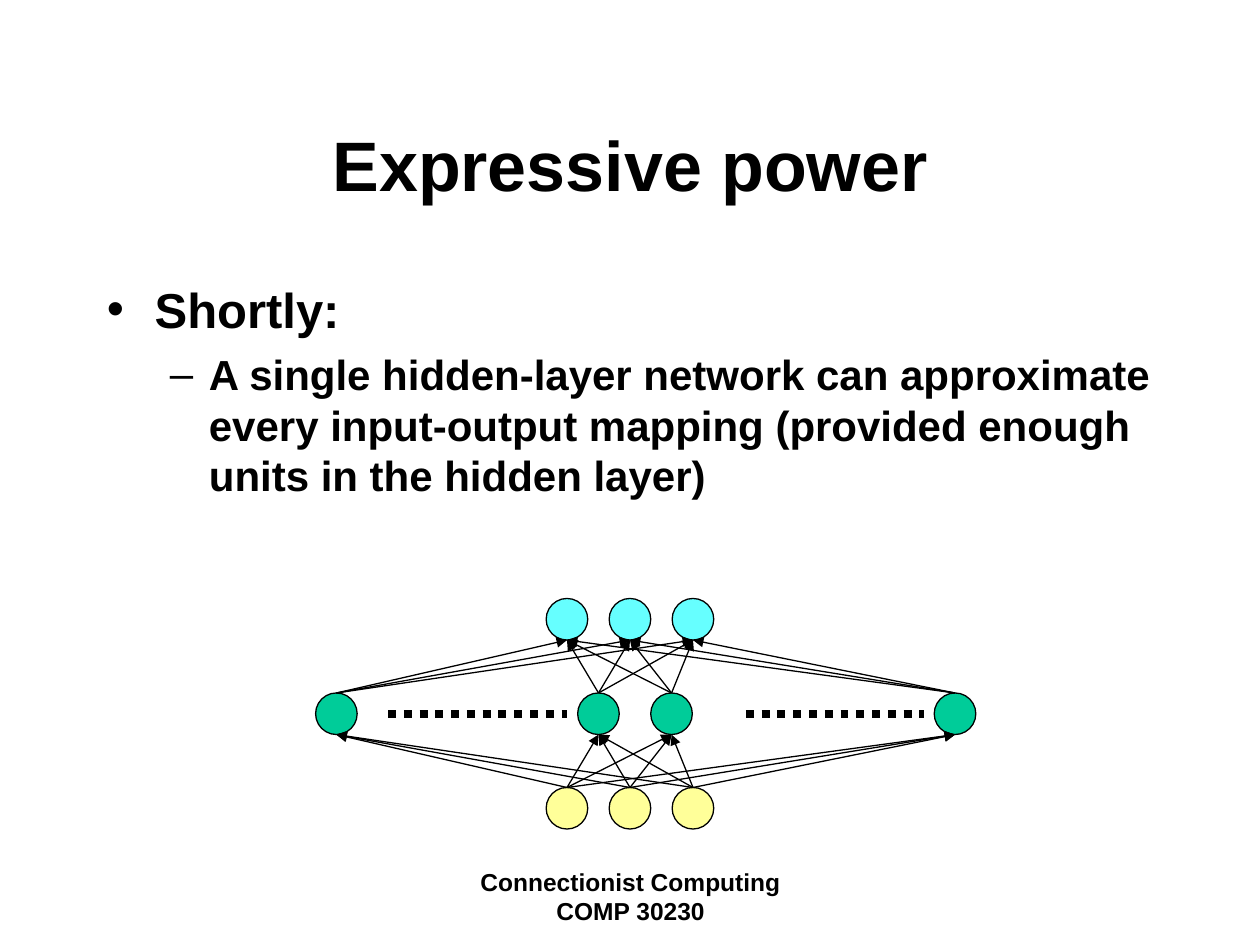
from itertools import product

from lxml import etree
from pptx import Presentation
from pptx.dml.color import RGBColor
from pptx.enum import dml, shapes, text
from pptx.oxml import ns
from pptx.util import Inches, Pt

BLACK = "000000"
DIAMETER = 0.33
OUTPUT_CENTERS = INPUT_CENTERS = [4.5, 5, 5.5]
HIDDEN_CENTERS = [2.67, 4.75, 5.33, 7.58]
OUTPUT_TOP, HIDDEN_TOP, INPUT_TOP = 4.75, 5.5, 6.25


def color(value):
    """Turn a hex string into a colour."""
    return RGBColor.from_string(value)


def add_element(parent, tag, **attributes):
    """Append a DrawingML element to its parent."""
    return etree.SubElement(parent, ns.qn(tag), attributes)


def set_attributes(target, values):
    """Set every attribute in a dict of format values."""
    for name, value in values.items():
        setattr(target, name, value)


def format_paragraph(paragraph, size, alignment=text.PP_ALIGN.LEFT):
    """Apply the bold black type of the slide."""
    paragraph.alignment = alignment
    set_attributes(paragraph.font, {"name": "Arial", "size": Pt(size), "bold": True})
    paragraph.font.color.rgb = color(BLACK)


def add_bullet(paragraph, character, margin, indent):
    """Give a paragraph a hanging bullet."""
    properties = paragraph._p.get_or_add_pPr()
    properties.set("marL", str(Inches(margin)))
    properties.set("indent", str(Inches(indent)))
    bullet_color = add_element(properties, "a:buClr")
    add_element(bullet_color, "a:srgbClr", val=BLACK)
    add_element(properties, "a:buFont", typeface="Arial")
    add_element(properties, "a:buChar", char=character)


def add_title(slide, wording):
    """Place and format the title placeholder."""
    title = slide.shapes.title
    set_attributes(title, {"left": Inches(0.75), "top": Inches(0.67),
                           "width": Inches(8.5), "height": Inches(1.25)})
    frame = title.text_frame
    frame.text = wording
    set_attributes(frame, {"auto_size": text.MSO_AUTO_SIZE.NONE,
                           "vertical_anchor": text.MSO_ANCHOR.MIDDLE})
    format_paragraph(frame.paragraphs[0], 40, text.PP_ALIGN.CENTER)


def add_text_box(slide, left, top, width, height):
    """Add a wrapping text box and return its frame."""
    box = slide.shapes.add_textbox(Inches(left), Inches(top), Inches(width), Inches(height))
    box.text_frame.word_wrap = True
    return box.text_frame


def add_body(slide):
    """Add the bulleted statement."""
    frame = add_text_box(slide, 0.75, 2.17, 8.5, 2.5)
    heading = frame.paragraphs[0]
    heading.text = "Shortly:"
    add_bullet(heading, "•", 0.38, -0.38)
    format_paragraph(heading, 28)
    statement = frame.add_paragraph()
    set_attributes(statement, {
        "text": "A single hidden-layer network can approximate every input-output "
                "mapping (provided enough units in the hidden layer)",
        "level": 1, "space_before": Pt(6)})
    add_bullet(statement, "–", 0.81, -0.31)
    format_paragraph(statement, 24)


def add_footer(slide):
    """Add the centred course name."""
    paragraph = add_text_box(slide, 3.42, 6.83, 3.17, 0.5).paragraphs[0]
    paragraph.text = "Connectionist Computing COMP 30230"
    format_paragraph(paragraph, 14, text.PP_ALIGN.CENTER)


def add_units(slide, centers, top, fill):
    """Draw one layer of network units."""
    for center in centers:
        unit = slide.shapes.add_shape(
            shapes.MSO_SHAPE.OVAL, Inches(center - DIAMETER / 2), Inches(top),
            Inches(DIAMETER), Inches(DIAMETER))
        unit.shadow.inherit = False
        unit.fill.solid()
        unit.fill.fore_color.rgb = color(fill)
        unit.line.color.rgb = color(BLACK)
        unit.line.width = Pt(0.75)


def add_line(slide, start, end, width):
    """Draw a straight black line without a shadow."""
    connector = slide.shapes.add_connector(
        shapes.MSO_CONNECTOR.STRAIGHT, *map(Inches, (*start, *end)))
    connector.line.color.rgb = color(BLACK)
    connector.line.width = Pt(width)
    add_element(connector._element.spPr, "a:effectLst")
    return connector.line


def connect_layers(slide, lower_centers, lower_top, upper_centers, upper_top):
    """Draw an arrow from every lower unit to every upper unit."""
    for lower, upper in product(lower_centers, upper_centers):
        line = add_line(slide, (lower, lower_top), (upper, upper_top + DIAMETER), 0.75)
        add_element(line._get_or_add_ln(), "a:tailEnd", type="triangle")


def add_ellipses(slide):
    """Draw the dotted lines that stand for more hidden units."""
    middle = HIDDEN_TOP + DIAMETER / 2
    for left, right in ((3.08, 4.5), (5.92, 7.33)):
        line = add_line(slide, (left, middle), (right, middle), 4.5)
        line.dash_style = dml.MSO_LINE.ROUND_DOT


def main():
    """Build the slide and save it."""
    presentation = Presentation()
    set_attributes(presentation, {"slide_width": Inches(10), "slide_height": Inches(7.5)})
    slide = presentation.slides.add_slide(presentation.slide_layouts[5])
    add_footer(slide)
    add_title(slide, "Expressive power")
    add_body(slide)
    add_units(slide, INPUT_CENTERS, INPUT_TOP, "FFFF99")
    add_units(slide, HIDDEN_CENTERS, HIDDEN_TOP, "00CC99")
    connect_layers(slide, INPUT_CENTERS, INPUT_TOP, HIDDEN_CENTERS, HIDDEN_TOP)
    add_units(slide, OUTPUT_CENTERS, OUTPUT_TOP, "66FFFF")
    connect_layers(slide, HIDDEN_CENTERS, HIDDEN_TOP, OUTPUT_CENTERS, OUTPUT_TOP)
    add_ellipses(slide)
    presentation.save("out.pptx")


if __name__ == "__main__":
    main()
